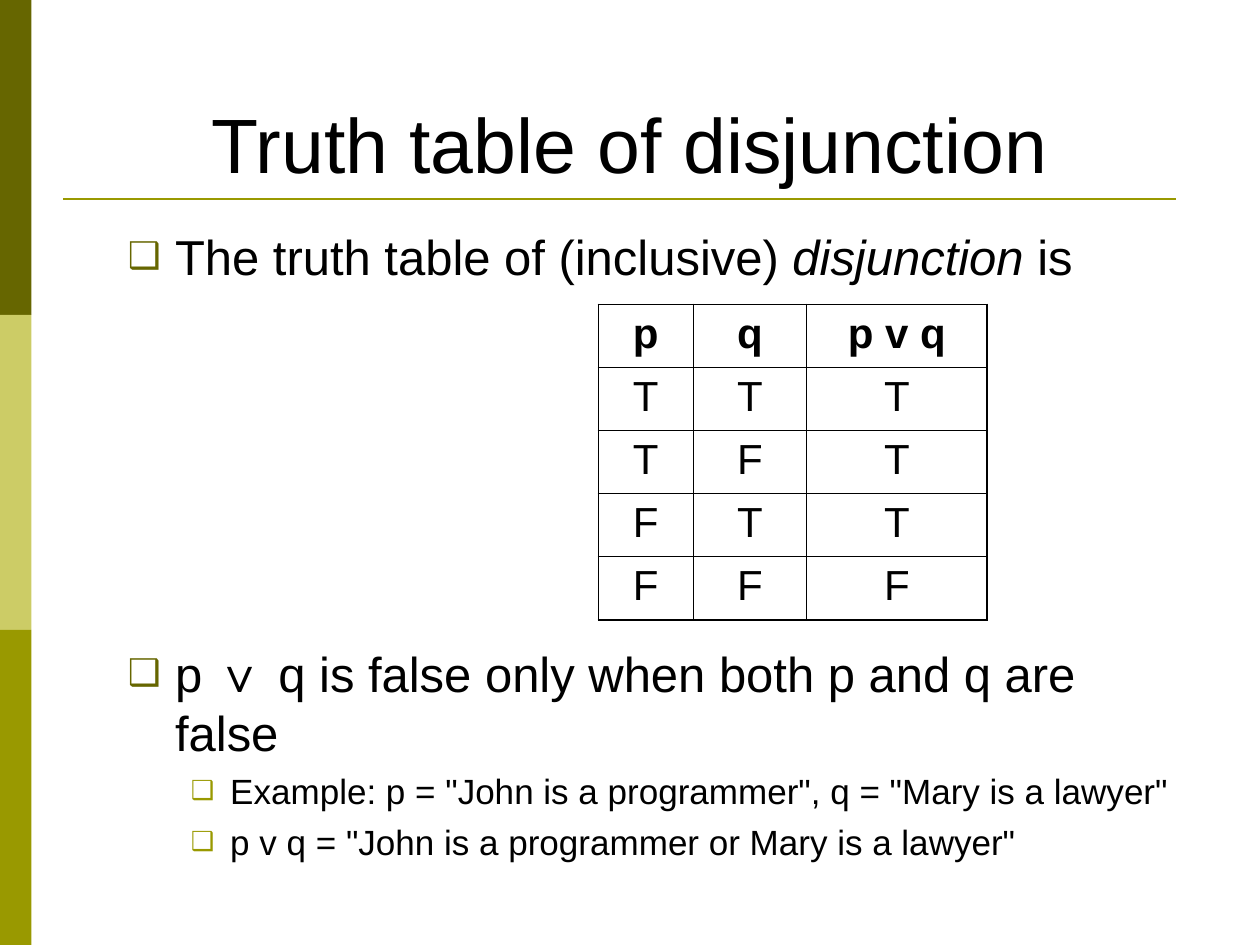
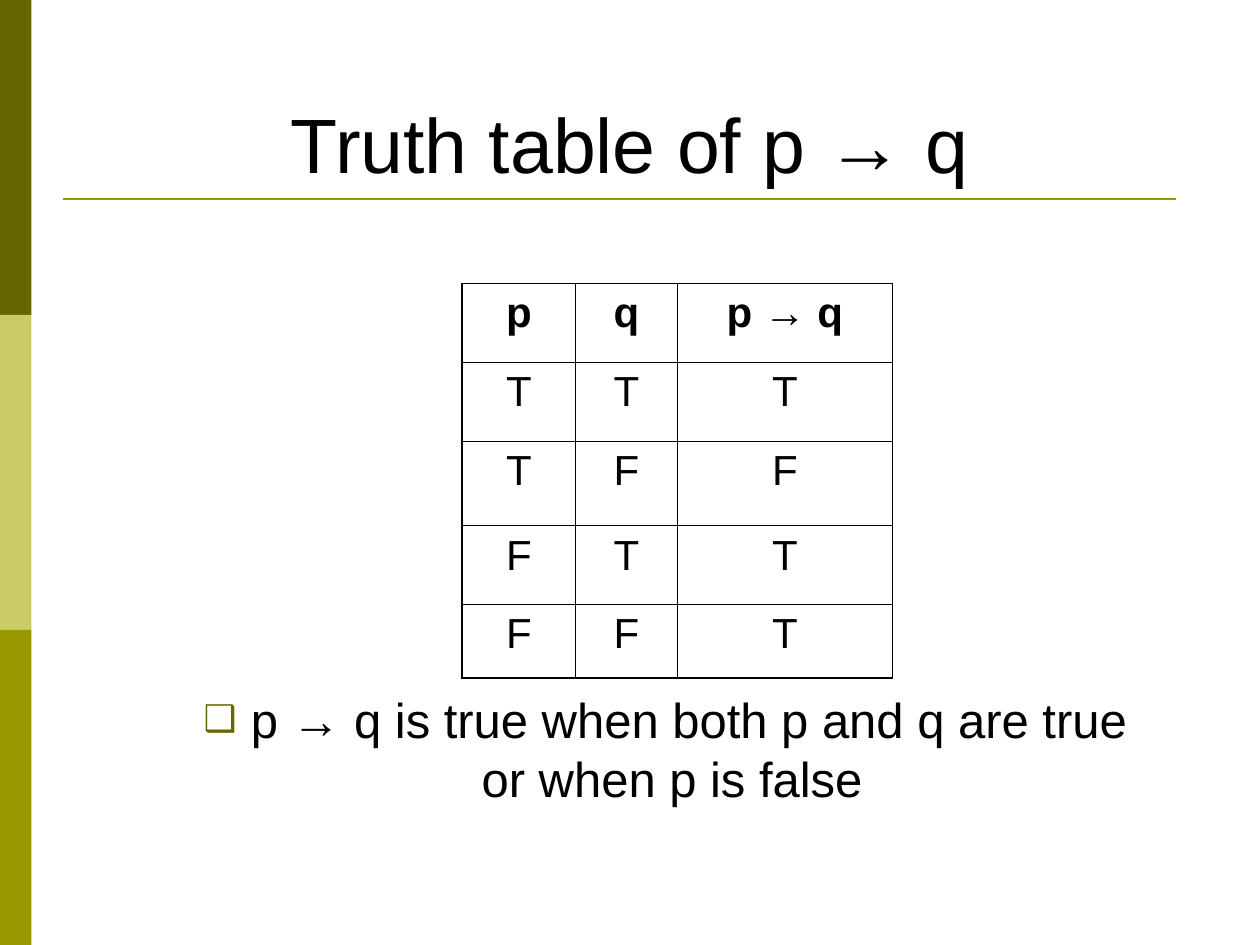
from dataclasses import dataclass
from typing import Any, Optional

import pptx
import pptx.dml.color
import pptx.enum.shapes
import pptx.enum.text
import pptx.oxml
import pptx.oxml.ns
import pptx.util
from pptx.dml.color import RGBColor
from pptx.util import Pt

BLACK = RGBColor(0x00, 0x00, 0x00)
DARK_OLIVE = RGBColor(0x66, 0x66, 0x00)
PALE_OLIVE = RGBColor(0xCC, 0xCC, 0x66)
OLIVE = RGBColor(0x99, 0x99, 0x00)

FONT_NAME = "Arial"
SLIDE_WIDTH, SLIDE_HEIGHT = 720, 540
BAND_WIDTH = 18
BAND_COLORS = (DARK_OLIVE, PALE_OLIVE, OLIVE)
TITLE_BOX = (36, 21.6, 648, 90)
RULE_START, RULE_END, RULE_TOP = 36, 672, 113.8
OUTER_BORDER, INNER_BORDER = 1.08, 0.45
CENTER = pptx.enum.text.PP_ALIGN.CENTER
LEFT = pptx.enum.text.PP_ALIGN.LEFT


@dataclass(frozen=True)
class Level:
    size: float
    indent: float
    hanging: float
    bullet_color: RGBColor


@dataclass(frozen=True)
class TextRun:
    text: str
    italic: bool = False


@dataclass(frozen=True)
class BodyLine:
    runs: tuple[TextRun, ...]
    level: Level
    space_before: float = 0
    bullet: bool = True


@dataclass(frozen=True)
class Body:
    box: tuple[float, float, float, float]
    lines: tuple[BodyLine, ...]
    line_height: float  # multiple of the text size
    alignment: Any = LEFT
    top_margin: float = 3.6


@dataclass(frozen=True)
class TruthTable:
    left: float
    top: float
    column_widths: tuple[float, ...]
    row_heights: tuple[float, ...]
    header: tuple[str, ...]
    values: tuple[str, ...]


@dataclass(frozen=True)
class TruthSlide:
    title: str
    body: Body
    table: TruthTable


MAIN = Level(28, 27, 27, DARK_OLIVE)
DETAIL = Level(20, 58.5, 22.5, OLIVE)

SLIDES = (
    TruthSlide(
        "Truth table of disjunction",
        Body(
            (66, 126, 618, 390),
            (
                BodyLine(
                    (
                        TextRun("The truth table of (inclusive) "),
                        TextRun("disjunction", italic=True),
                        TextRun(" is"),
                    ),
                    MAIN,
                ),
                BodyLine(
                    (TextRun("p ∨ q is false only when both p and q are false"),),
                    MAIN,
                    space_before=204.5,
                ),
                BodyLine(
                    (TextRun('Example: p = "John is a programmer", q = "Mary is a lawyer"'),),
                    DETAIL,
                    space_before=5,
                ),
                BodyLine(
                    (TextRun('p v q = "John is a programmer or Mary is a lawyer"'),),
                    DETAIL,
                    space_before=5,
                ),
            ),
            line_height=1.2,
        ),
        TruthTable(
            342, 174, (54, 65, 103), (35.9,) * 5,
            ("p", "q", "p v q"), ("TTT", "TFT", "FTT", "FFF"),
        ),
    ),
    TruthSlide(
        "Truth table of p → q",
        Body(
            (84, 186, 600, 297),
            (
                BodyLine((TextRun("p → q is true when both p and q are true "),), MAIN),
                BodyLine((TextRun("or when p is false"),), MAIN, space_before=7, bullet=False),
            ),
            line_height=0.96,
            alignment=CENTER,
            top_margin=214.7,
        ),
        TruthTable(
            264, 162, (65, 58, 123), (45, 45, 48.5, 45, 42),
            ("p", "q", "p → q"), ("TTT", "TFF", "FTT", "FFT"),
        ),
    ),
)


def apply_format(target: Any, values: dict[str, Any]) -> None:
    for name, value in values.items():
        setattr(target, name, value)


def format_font(font: Any, size: float, **extra: Any) -> None:
    apply_format(font, {"name": FONT_NAME, "size": Pt(size), **extra})
    font.color.rgb = BLACK


def place(shape: Any, box: tuple[float, float, float, float]) -> None:
    lengths = (Pt(value) for value in box)
    apply_format(shape, dict(zip(("left", "top", "width", "height"), lengths)))


def append_xml(parent: Any, xml: str) -> None:
    namespace = pptx.oxml.ns.nsdecls("a")
    tag, rest = xml[:-1].split(" ", 1) if " " in xml.split(">")[0] else (xml[:-2], "/")
    parent.append(pptx.oxml.parse_xml(f"{tag} {namespace} {rest}>"))


# Shared parts
def draw_bands(slide: Any) -> None:
    height = SLIDE_HEIGHT / len(BAND_COLORS)
    for index, color in enumerate(BAND_COLORS):
        band = slide.shapes.add_shape(
            pptx.enum.shapes.MSO_SHAPE.RECTANGLE,
            Pt(0), Pt(index * height), Pt(BAND_WIDTH), Pt(height),
        )
        band.shadow.inherit = False
        band.fill.solid()
        band.fill.fore_color.rgb = color
        band.line.fill.background()


def draw_title_rule(slide: Any) -> None:
    rule = slide.shapes.add_connector(
        pptx.enum.shapes.MSO_CONNECTOR.STRAIGHT,
        Pt(RULE_START), Pt(RULE_TOP), Pt(RULE_END), Pt(RULE_TOP),
    )
    rule.line.color.rgb = OLIVE
    rule.line.width = Pt(1.5)
    append_xml(rule._element.spPr, "<a:effectLst/>")


def fill_title(slide: Any, text: str) -> None:
    title = slide.shapes.title
    place(title, TITLE_BOX)
    apply_format(title.text_frame, {
        "text": text,
        "word_wrap": True,
        "auto_size": pptx.enum.text.MSO_AUTO_SIZE.NONE,
        "vertical_anchor": pptx.enum.text.MSO_ANCHOR.BOTTOM,
    })
    paragraph = title.text_frame.paragraphs[0]
    paragraph.alignment = CENTER
    format_font(paragraph.runs[0].font, 44)


# Body text
def format_indent(paragraph: Any, line: BodyLine) -> None:
    level = line.level
    properties = paragraph._p.get_or_add_pPr()
    properties.set("marL", str(Pt(level.indent)))
    properties.set("indent", str(-Pt(level.hanging)))
    if line.bullet:
        append_xml(properties, f'<a:buClr ><a:srgbClr val="{level.bullet_color}"/></a:buClr>')
        append_xml(properties, '<a:buSzPct val="75000"/>')
        append_xml(properties, f'<a:buFont typeface="{FONT_NAME}"/>')
        append_xml(properties, '<a:buChar char="❑"/>')


def draw_body(slide: Any, body: Body) -> None:
    text_box = slide.shapes.add_textbox(*(Pt(value) for value in body.box))
    frame = text_box.text_frame
    apply_format(frame, {"word_wrap": True, "margin_top": Pt(body.top_margin)})
    for index, line in enumerate(body.lines):
        paragraph = frame.add_paragraph() if index else frame.paragraphs[0]
        format_indent(paragraph, line)
        apply_format(paragraph, {
            "alignment": body.alignment,
            "line_spacing": Pt(line.level.size * body.line_height),
            "space_before": Pt(line.space_before),
        })
        for text_run in line.runs:
            run = paragraph.add_run()
            run.text = text_run.text
            format_font(run.font, line.level.size, italic=text_run.italic)


# Truth tables
def draw_borders(cell: Any, outer_sides: dict[str, bool]) -> None:
    properties = cell._tc.get_or_add_tcPr()
    for side, is_outer in outer_sides.items():
        width = Pt(OUTER_BORDER if is_outer else INNER_BORDER)
        append_xml(
            properties,
            f'<a:ln{side} w="{width}"><a:solidFill><a:srgbClr val="{BLACK}"/>'
            f"</a:solidFill></a:ln{side}>",
        )


def draw_table(slide: Any, truth: TruthTable) -> None:
    rows = (truth.header, *truth.values)
    last_row, last_column = len(rows) - 1, len(truth.header) - 1
    table = slide.shapes.add_table(
        len(rows), len(truth.header), Pt(truth.left), Pt(truth.top),
        Pt(sum(truth.column_widths)), Pt(sum(truth.row_heights)),
    ).table
    apply_format(table, {"first_row": False, "horz_banding": False})
    for column, width in zip(table.columns, truth.column_widths):
        column.width = Pt(width)
    for row_index, (values, height) in enumerate(zip(rows, truth.row_heights)):
        table.rows[row_index].height = Pt(height)
        for column_index, value in enumerate(values):
            cell = table.cell(row_index, column_index)
            cell.text = value
            draw_borders(cell, {
                "L": column_index == 0,
                "R": column_index == last_column,
                "T": row_index == 0,
                "B": row_index == last_row,
            })
            cell.fill.background()
            paragraph = cell.text_frame.paragraphs[0]
            paragraph.alignment = CENTER
            format_font(paragraph.runs[0].font, 24, bold=row_index == 0)


def main() -> None:
    presentation = pptx.Presentation()
    apply_format(presentation, {
        "slide_width": Pt(SLIDE_WIDTH),
        "slide_height": Pt(SLIDE_HEIGHT),
    })
    title_only = presentation.slide_layouts[5]
    for content in SLIDES:
        slide = presentation.slides.add_slide(title_only)
        draw_bands(slide)
        draw_title_rule(slide)
        fill_title(slide, content.title)
        draw_body(slide, content.body)
        draw_table(slide, content.table)
    presentation.save("out.pptx")


if __name__ == "__main__":
    main()
